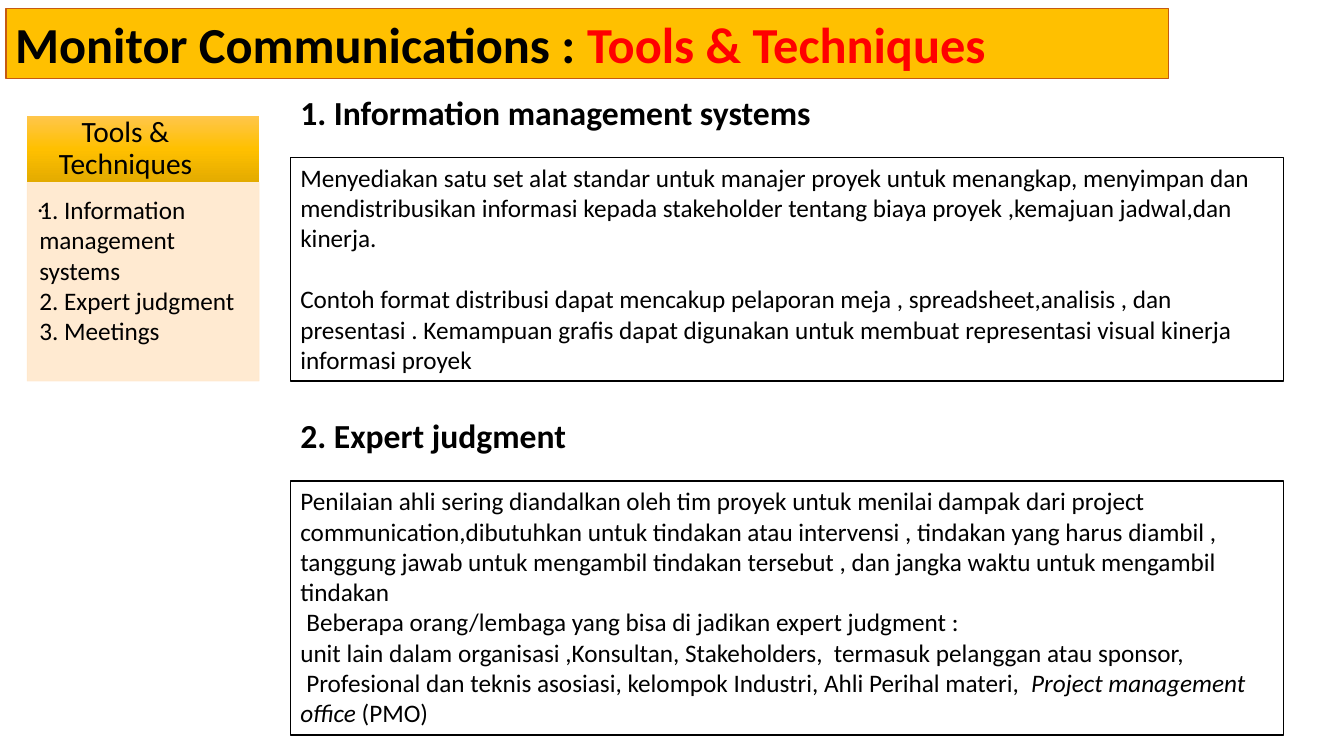
import pptx
import pptx.dml.color
import pptx.enum.dml
import pptx.enum.shapes
import pptx.enum.text
import pptx.oxml.ns
import pptx.util
from dataclasses import dataclass
from lxml import etree

Inches = pptx.util.Inches
Pt = pptx.util.Pt
qn = pptx.oxml.ns.qn


@dataclass(frozen=True)
class Theme:
    font: str = "Calibri"
    text: str = "000000"
    accent: str = "FF0000"
    paper: str = "FFFFFF"
    banner: str = "FFC000"
    banner_line: str = "C55A11"
    panel: str = "FFE8CC"
    panel_alpha: int = 90
    header_stops: tuple = ((0, "FFC64B"), (50, "FFC000"), (100, "E3AB00"))
    title_size: int = 36
    heading_size: int = 24
    header_size: int = 21
    body_size: int = 18


THEME = Theme()

TITLE = [[("Monitor Communications : ", {}), ("Tools & Techniques", {"color": THEME.accent})]]
PANEL_HEADER = ["Tools & Techniques"]
PANEL_MARK = [".."]
PANEL_ITEMS = ["1. Information management systems", "2. Expert judgment", "3. Meetings"]
SECTIONS = [
    {
        "heading": "1. Information management systems",
        "top": 0.86,
        "height": 2.22,
        "body": [
            "Menyediakan satu set alat standar untuk manajer proyek untuk menangkap, menyimpan dan "
            "mendistribusikan informasi kepada stakeholder tentang biaya proyek ,kemajuan jadwal,dan kinerja.",
            "Contoh format distribusi dapat mencakup pelaporan meja , spreadsheet,analisis , dan presentasi . "
            "Kemampuan grafis dapat digunakan untuk membuat representasi visual kinerja informasi proyek",
        ],
        "gap": 22,
        "indented": (),
    },
    {
        "heading": "2. Expert judgment",
        "top": 4.07,
        "height": 2.52,
        "body": [
            "Penilaian ahli sering diandalkan oleh tim proyek untuk menilai dampak dari project "
            "communication,dibutuhkan untuk tindakan atau intervensi , tindakan yang harus diambil , "
            "tanggung jawab untuk mengambil tindakan tersebut , dan jangka waktu untuk mengambil tindakan",
            "Beberapa orang/lembaga yang bisa di jadikan expert judgment :",
            "unit lain dalam organisasi ,Konsultan, Stakeholders,  termasuk pelanggan atau sponsor,",
            [
                ("Profesional dan teknis asosiasi, kelompok Industri, Ahli Perihal materi,  ", {}),
                ("Project management office ", {"italic": True}),
                ("(PMO)", {}),
            ],
        ],
        "gap": 0,
        "indented": (1, 3),
    },
]

PANEL_LEFT, PANEL_TOP, PANEL_WIDTH = 0.27, 1.15, 2.3
HEADER_HEIGHT, LIST_HEIGHT = 0.66, 1.97
HEADER_TEXT_WIDTH = 1.95
SECTION_LEFT, HEADING_WIDTH, BODY_WIDTH = 2.88, 7.42, 9.85
HEADING_HEIGHT, BODY_OFFSET = 0.5, 0.7
FIRST_LINE_INDENT = 0.06


def rgb(value):
    return pptx.dml.color.RGBColor.from_string(value)


def add_box(slide, left, top, width, height, fill, line=None, line_width=1):
    shape = slide.shapes.add_shape(
        pptx.enum.shapes.MSO_SHAPE.RECTANGLE, Inches(left), Inches(top), Inches(width), Inches(height)
    )
    shape.shadow.inherit = False
    shape.fill.solid()
    shape.fill.fore_color.rgb = rgb(fill)
    if line:
        shape.line.color.rgb = rgb(line)
        shape.line.width = Pt(line_width)
    else:
        shape.line.fill.background()
    return shape


def add_label(slide, left, top, width, height):
    return slide.shapes.add_textbox(Inches(left), Inches(top), Inches(width), Inches(height))


def write(shape, paragraphs, size, bold=False, insets=(0.1, 0.05, 0.1, 0.05), gap=0, indented=(),
          centred=False):
    frame = shape.text_frame
    frame.word_wrap = True
    frame.margin_left, frame.margin_top, frame.margin_right, frame.margin_bottom = map(Inches, insets)
    anchor = pptx.enum.text.MSO_ANCHOR
    frame.vertical_anchor = anchor.MIDDLE if centred else anchor.TOP
    alignment = pptx.enum.text.PP_ALIGN
    for index, content in enumerate(paragraphs):
        paragraph = frame.paragraphs[0] if index == 0 else frame.add_paragraph()
        paragraph.alignment = alignment.CENTER if centred else alignment.LEFT
        if index and gap:
            paragraph.space_before = Pt(gap)
        if index in indented:
            properties = paragraph._p.get_or_add_pPr()
            properties.set("marL", "0")
            properties.set("indent", str(Inches(FIRST_LINE_INDENT)))
        paragraph.font.name = THEME.font
        paragraph.font.size = Pt(size)
        paragraph.font.bold = bold
        paragraph.font.color.rgb = rgb(THEME.text)
        for text, style in [(content, {})] if isinstance(content, str) else content:
            run = paragraph.add_run()
            run.text = text
            if "color" in style:
                run.font.color.rgb = rgb(style["color"])
            if "italic" in style:
                run.font.italic = style["italic"]


def shade(shape, stops):
    shape.fill.gradient()
    shape.fill.gradient_angle = 270
    stop_list = shape._element.spPr.find(".//" + qn("a:gsLst"))
    for stop in list(stop_list):
        stop_list.remove(stop)
    for position, color in stops:
        stop = etree.SubElement(stop_list, qn("a:gs"), pos=str(position * 1000))
        etree.SubElement(stop, qn("a:srgbClr"), val=color)


def make_translucent(shape, percent):
    for color in shape._element.spPr.iter(qn("a:srgbClr")):
        etree.SubElement(color, qn("a:alpha"), val=str(percent * 1000))


def add_panel(slide):
    header = add_box(slide, PANEL_LEFT, PANEL_TOP, PANEL_WIDTH, HEADER_HEIGHT, THEME.banner)
    shade(header, THEME.header_stops)
    header_label = add_label(slide, PANEL_LEFT, PANEL_TOP, HEADER_TEXT_WIDTH, HEADER_HEIGHT)
    write(header_label, PANEL_HEADER, THEME.header_size, insets=(0.16, 0.09, 0.16, 0.09), centred=True)
    header_label.text_frame.paragraphs[0].line_spacing = 0.9

    list_top = PANEL_TOP + HEADER_HEIGHT
    panel = add_box(slide, PANEL_LEFT, list_top, PANEL_WIDTH, LIST_HEIGHT, THEME.panel, THEME.panel, 0.5)
    make_translucent(panel, THEME.panel_alpha)
    write(panel, PANEL_MARK, THEME.body_size)
    items = add_label(slide, PANEL_LEFT, list_top, PANEL_WIDTH, 2.11)
    write(items, PANEL_ITEMS, THEME.body_size, insets=(0.12, 0.12, 0.16, 0.18))


def add_section(slide, section):
    heading = add_label(slide, SECTION_LEFT, section["top"], HEADING_WIDTH, HEADING_HEIGHT)
    write(heading, [section["heading"]], THEME.heading_size, bold=True)
    body = add_box(slide, SECTION_LEFT, section["top"] + BODY_OFFSET, BODY_WIDTH, section["height"],
                   THEME.paper, THEME.text)
    write(body, section["body"], THEME.body_size, gap=section["gap"], indented=section["indented"])


def main():
    presentation = pptx.Presentation()
    presentation.slide_width = Inches(13.33)
    presentation.slide_height = Inches(7.5)
    slide = presentation.slides.add_slide(presentation.slide_layouts[6])
    title = add_box(slide, 0.06, 0.08, 11.53, 0.7, THEME.banner, THEME.banner_line, 0.75)
    write(title, TITLE, THEME.title_size, bold=True, insets=(0.09, 0.05, 0.09, 0.05))
    add_panel(slide)
    for section in SECTIONS:
        add_section(slide, section)
    presentation.save("out.pptx")


if __name__ == "__main__":
    main()
